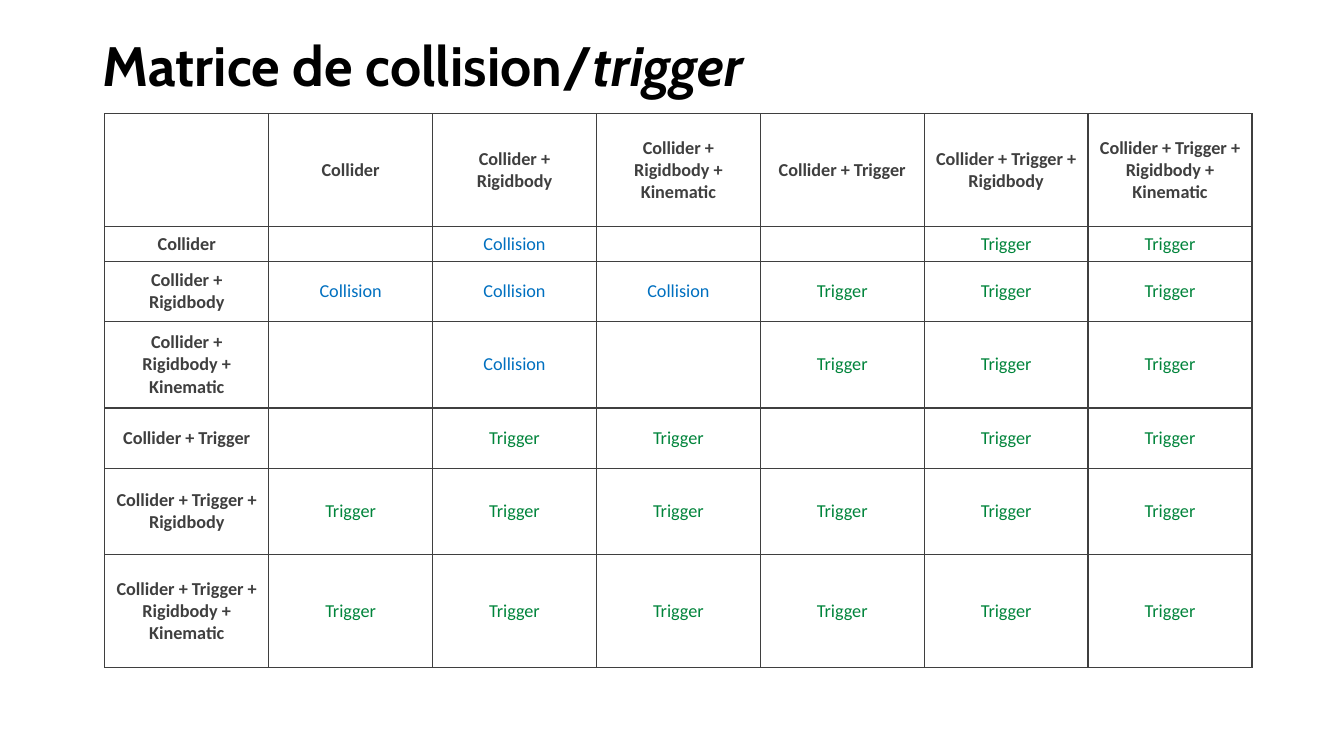
import pptx
import pptx.dml.color
import pptx.enum.text
import pptx.oxml
import pptx.oxml.ns
import pptx.util
from pptx.util import Cm

KINDS = ["Collider", "Collider + Rigidbody", "Collider + Rigidbody + Kinematic",
         "Collider + Trigger", "Collider + Trigger + Rigidbody",
         "Collider + Trigger + Rigidbody + Kinematic"]
# One row and one column per kind: C = collision, T = trigger, . = nothing
OUTCOMES = [".C..TT", "CCCTTT", ".C.TTT", ".TT.TT", "TTTTTT", "TTTTTT"]
OUTCOME_LABELS = {"C": "Collision", "T": "Trigger", ".": ""}
ROW_HEIGHTS = [2.84, 0.87, 1.52, 2.18, 1.52, 2.18, 2.84]
COLUMN_WIDTH = 4.13


def color(value):
    return pptx.dml.color.RGBColor.from_string(value)


class MatrixPage:
    title_font, body_font = "Cabin", "Calibri"
    black, gray = "000000", "3F3F3F"
    outcome_colors = {"Collision": "0070C0", "Trigger": "00843B"}

    def __init__(self, deck):
        self.page = deck.slides.add_slide(deck.slide_layouts[6])

    def style(self, para, name, size, value, bold):
        para.font.name = name
        para.font.size = pptx.util.Pt(size)
        para.font.bold = bold
        para.font.color.rgb = color(value)

    def title(self, plain, emphasis, left, top, width, height):
        box = self.page.shapes.add_textbox(Cm(left), Cm(top), Cm(width), Cm(height))
        frame = box.text_frame
        frame.word_wrap = True
        frame.vertical_anchor = pptx.enum.text.MSO_ANCHOR.MIDDLE
        para = frame.paragraphs[0]
        para.line_spacing = 0.9
        para.add_run().text = plain
        span = para.add_run()
        span.text = emphasis
        span.font.italic = True
        self.style(para, self.title_font, 39.6, self.black, True)

    def border(self, cell):
        properties = cell._tc.get_or_add_tcPr()
        for position, side in enumerate(("lnL", "lnR", "lnT", "lnB")):
            line = pptx.oxml.parse_xml(
                f'<a:{side} {pptx.oxml.ns.nsdecls("a")} w="12700"><a:solidFill>'
                f'<a:srgbClr val="{self.gray}"/></a:solidFill></a:{side}>')
            properties.insert(position, line)

    def cell(self, cell, label, heading):
        cell.fill.background()
        self.border(cell)
        cell.vertical_anchor = pptx.enum.text.MSO_ANCHOR.MIDDLE
        cell.margin_left = cell.margin_right = Cm(0.18)
        # Empty cells need no vertical margin, so the short row keeps its height
        cell.margin_top = cell.margin_bottom = Cm(0.08 if label else 0)
        para = cell.text_frame.paragraphs[0]
        if label:
            para.add_run().text = label
        para.alignment = pptx.enum.text.PP_ALIGN.CENTER
        value = self.gray if heading else self.outcome_colors.get(label, self.gray)
        self.style(para, self.body_font, 13, value, heading)

    def table(self, rows, left, top, column_width, heights):
        """Draw rows of labels whose first row and first column are headings."""
        columns = len(rows[0])
        table = self.page.shapes.add_table(
            len(rows), columns, Cm(left), Cm(top),
            Cm(column_width * columns), Cm(sum(heights))).table
        table.horz_banding = False
        for column in table.columns:
            column.width = Cm(column_width)
        for r, (labels, height) in enumerate(zip(rows, heights)):
            table.rows[r].height = Cm(height)
            for c, label in enumerate(labels):
                self.cell(table.cell(r, c), label, r == 0 or c == 0)


def main():
    deck = pptx.Presentation()
    deck.slide_width, deck.slide_height = Cm(33.87), Cm(19.05)
    matrix = MatrixPage(deck)
    matrix.title("Matrice de collision/", "trigger", 2.34, 1.02, 29.21, 1.4)
    rows = [["", *KINDS]]
    for kind, outcomes in zip(KINDS, OUTCOMES):
        rows.append([kind, *(OUTCOME_LABELS[outcome] for outcome in outcomes)])
    matrix.table(rows, 2.64, 2.87, COLUMN_WIDTH, ROW_HEIGHTS)
    deck.save("out.pptx")


if __name__ == "__main__":
    main()
